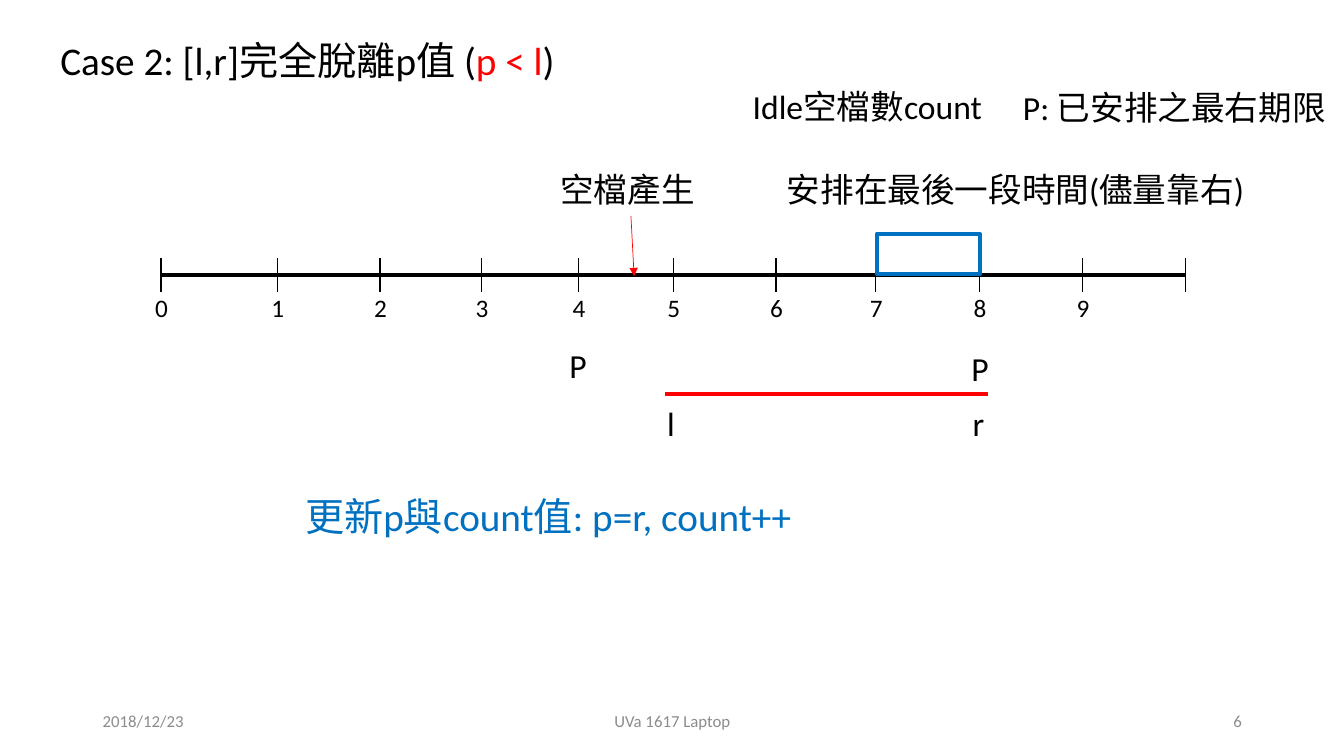
from lxml.etree import SubElement
from pptx import Presentation
from pptx.dml.color import RGBColor
from pptx.enum.shapes import MSO_CONNECTOR, MSO_SHAPE
from pptx.enum.text import MSO_ANCHOR as ANCHOR, MSO_AUTO_SIZE as AUTO, PP_ALIGN as ALIGN
from pptx.oxml.ns import qn
from pptx.util import Cm, Pt

BLACK = RGBColor(0x00, 0x00, 0x00)
RED = RGBColor(0xFF, 0x00, 0x00)
BLUE = RGBColor(0x00, 0x70, 0xC0)
GRAY = RGBColor(0x8C, 0x8C, 0x8C)


class Diagram:
    latin = "Calibri"
    east_asian = "Noto Sans CJK SC"

    def __init__(self, slide):
        self.shapes = slide.shapes

    def text(self, left, top, width, content, size=24, color=BLACK, height=1.27):
        """Add a wrapping text box that grows with its text; return its frame."""
        box = self.shapes.add_textbox(Cm(left), Cm(top), Cm(width), Cm(height))
        frame = box.text_frame
        frame.word_wrap = True
        frame.auto_size = AUTO.SHAPE_TO_FIT_TEXT
        paragraph = frame.paragraphs[0]
        font = paragraph.font
        font.size = Pt(size)
        font.color.rgb = color
        font.name = self.latin
        properties = paragraph._p.pPr.find(qn("a:defRPr"))
        SubElement(properties, qn("a:ea")).set("typeface", self.east_asian)
        for part in content if isinstance(content, list) else [content]:
            words, accent = part if isinstance(part, tuple) else (part, None)
            run = paragraph.add_run()
            run.text = words
            if accent is not None:
                run.font.color.rgb = accent
        return frame

    def footer(self, left, width, content, align):
        frame = self.text(left, 17.65, width, content, 12, GRAY, 1.02)
        frame.auto_size = AUTO.NONE
        frame.vertical_anchor = ANCHOR.MIDDLE
        frame.paragraphs[0].alignment = align

    def line(self, x1, y1, x2, y2, color, weight, arrow=False):
        line = self.shapes.add_connector(
            MSO_CONNECTOR.STRAIGHT, Cm(x1), Cm(y1), Cm(x2), Cm(y2))
        line.line.color.rgb = color
        line.line.width = Pt(weight)
        if arrow:
            SubElement(line.line._get_or_add_ln(), qn("a:tailEnd")).set("type", "triangle")
        SubElement(line._element.spPr, qn("a:effectLst"))

    def outline_box(self, left, top, width, height, color, weight):
        box = self.shapes.add_shape(
            MSO_SHAPE.RECTANGLE, Cm(left), Cm(top), Cm(width), Cm(height))
        box.shadow.inherit = False
        box.fill.background()
        box.line.color.rgb = color
        box.line.width = Pt(weight)


def main():
    deck = Presentation()
    deck.slide_width, deck.slide_height = Cm(33.87), Cm(19.05)
    diagram = Diagram(deck.slides.add_slide(deck.slide_layouts[6]))

    diagram.text(1.27, 0.79, 14.27,
                 ["Case 2: [l,r]完全脫離p值 (", ("p < l", RED), ")"], 28, height=1.44)

    # Time axis: the last tick has no number
    ticks = [4.06, 6.99, 9.58, 12.14, 14.58, 16.97, 19.56, 22.07, 24.69, 27.28, 29.87]
    diagram.line(4.04, 6.93, ticks[-1], 6.93, BLACK, 2.25)
    for x in ticks:
        diagram.line(x, 7.37, x, 6.5, BLACK, 1)
    for hour, x in enumerate(ticks[:-1]):
        diagram.text(x - 0.4, 7.24, 0.81, str(hour), 18, height=1.02)

    # Interval from l to r, and p before and after
    diagram.line(16.76, 9.93, 24.89, 9.93, RED, 3)
    diagram.text(16.56, 10.03, 2.46, "l")
    diagram.text(24.26, 10.03, 2.46, "r")
    diagram.text(14.1, 8.56, 1.3, "P")
    diagram.text(24.23, 8.64, 1.3, "P")

    # Scheduled slot and idle gap
    diagram.outline_box(22.1, 5.89, 2.59, 1.02, BLUE, 3)
    diagram.text(19.58, 4.14, 13.13, "安排在最後一段時間(儘量靠右)")
    diagram.text(13.87, 4.14, 4.06, "空檔產生")
    diagram.line(15.9, 5.44, 15.98, 6.96, RED, 0.5, arrow=True)

    diagram.text(25.53, 2.06, 8.33, "P: 已安排之最右期限")
    diagram.text(18.72, 2.03, 6.4, "Idle空檔數count")
    diagram.text(7.44, 12.27, 15.11, "更新p與count值: p=r, count++", 28, BLUE, 1.44)

    diagram.footer(2.34, 7.62, "2018/12/23", ALIGN.LEFT)
    diagram.footer(11.23, 11.43, "UVa 1617 Laptop", ALIGN.CENTER)
    diagram.footer(23.93, 7.62, "6", ALIGN.RIGHT)
    deck.save("out.pptx")


if __name__ == "__main__":
    main()
